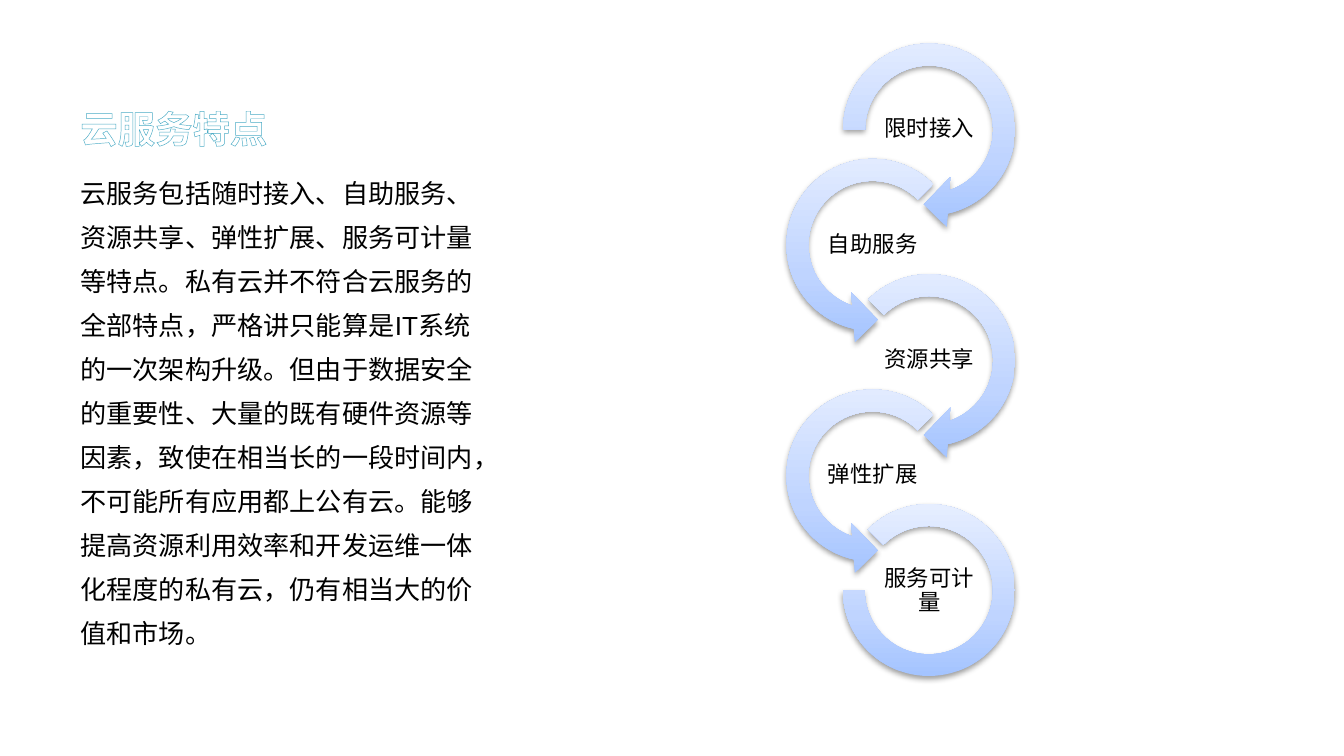
import lxml.etree
import pptx
import pptx.dml.color
import pptx.enum.shapes
import pptx.enum.text
import pptx.oxml
import pptx.util

Cm = pptx.util.Cm
Pt = pptx.util.Pt
Shape = pptx.enum.shapes.MSO_SHAPE
Anchor = pptx.enum.text.MSO_ANCHOR
Align = pptx.enum.text.PP_ALIGN
NAMESPACE = 'xmlns:a="http://schemas.openxmlformats.org/drawingml/2006/main"'

GRADIENT = f"""<a:gradFill {NAMESPACE} rotWithShape="1"><a:gsLst>
<a:gs pos="0"><a:srgbClr val="A4C4FF"/></a:gs>
<a:gs pos="35000"><a:srgbClr val="BFD4FF"/></a:gs>
<a:gs pos="100000"><a:srgbClr val="E6EEFF"/></a:gs>
</a:gsLst><a:lin ang="16200000" scaled="1"/></a:gradFill>"""
SHADOW = f"""<a:effectLst {NAMESPACE}>
<a:outerShdw blurRad="40000" dist="20000" dir="5400000" rotWithShape="0">
<a:srgbClr val="000000"><a:alpha val="38000"/></a:srgbClr>
</a:outerShdw></a:effectLst>"""
OUTLINE = f"""<a:ln {NAMESPACE} w="10160"><a:solidFill>
<a:srgbClr val="4BACC6"/></a:solidFill></a:ln>"""

deck = pptx.Presentation()
deck.slide_width = Cm(25.4)
deck.slide_height = Cm(14.29)
page = deck.slides.add_slide(deck.slide_layouts[6])


def color(hex_text):
    return pptx.dml.color.RGBColor.from_string(hex_text)


def add_text(text, left, top, width, height, size, font="Arial", fill="000000", bold=False,
             anchor=Anchor.TOP, align=Align.LEFT, spacing=1.0, inset=None):
    """Add a one-paragraph text box and return its run."""
    box = page.shapes.add_textbox(Cm(left), Cm(top), Cm(width), Cm(height))
    frame = box.text_frame
    frame.word_wrap = True
    frame.vertical_anchor = anchor
    if inset is not None:
        frame.margin_left = frame.margin_right = Cm(inset)
        frame.margin_top = frame.margin_bottom = Cm(inset)
    para = frame.paragraphs[0]
    para.alignment = align
    para.line_spacing = spacing
    span = para.add_run()
    span.text = text
    span.font.name = font
    span.font.size = Pt(size)
    span.font.bold = bold
    span.font.color.rgb = color(fill)
    return span


title = add_text("云服务特点", 1.27, 0.56, 8.36, 2.41, 20, fill="FFFFFF", bold=True,
                 anchor=Anchor.BOTTOM)
title.font._element.insert(0, pptx.oxml.parse_xml(OUTLINE))

# Chain of arrows, alternating right and left, closed by a block arc
RIGHT, LEFT = 15.67, 14.6
TOP, PITCH, RING, ARC = 0.56, 2.18, 3.78, 3.25
left_turn = (Shape.LEFT_CIRCULAR_ARROW, LEFT, [0.11, 11.42, 63, 189, 0.125])
features = [
    ("限时接入", Shape.CIRCULAR_ARROW, RIGHT, [0.11, 11.42, 45, 108, 0.125]),
    ("自助服务", *left_turn),
    ("资源共享", Shape.CIRCULAR_ARROW, RIGHT, [0.11, 11.42, 45, 135, 0.125]),
    ("弹性扩展", *left_turn),
    ("服务可计量", Shape.BLOCK_ARC, RIGHT, [135, 108, 0.127]),
]
for index, (label, kind, left, adjustments) in enumerate(features):
    top = TOP + index * PITCH
    if kind == Shape.BLOCK_ARC:
        ring = page.shapes.add_shape(kind, Cm(left + 0.26), Cm(top + 0.25), Cm(ARC), Cm(ARC))
    else:
        ring = page.shapes.add_shape(kind, Cm(left), Cm(top), Cm(RING), Cm(RING))
    for number, value in enumerate(adjustments):
        ring.adjustments[number] = value
    ring.line.fill.background()
    properties = ring._element.spPr
    properties.insert(2, pptx.oxml.parse_xml(GRADIENT))
    properties.append(pptx.oxml.parse_xml(SHADOW))
    add_text(label, left + 0.84, top + 1.37, 2.11, 1.04, 12, font="Calibri",
             anchor=Anchor.MIDDLE, align=Align.CENTER, spacing=0.9, inset=0.02)

add_text("云服务包括随时接入、自助服务、资源共享、弹性扩展、服务可计量等特点。"
         "私有云并不符合云服务的全部特点，严格讲只能算是IT系统的一次架构升级。"
         "但由于数据安全的重要性、大量的既有硬件资源等因素，致使在相当长的一段时间内，"
         "不可能所有应用都上公有云。能够提高资源利用效率和开发运维一体化程度的私有云，"
         "仍有相当大的价值和市场。",
         1.27, 3, 8.36, 9.78, 14, spacing=1.4)

deck.save("out.pptx")
